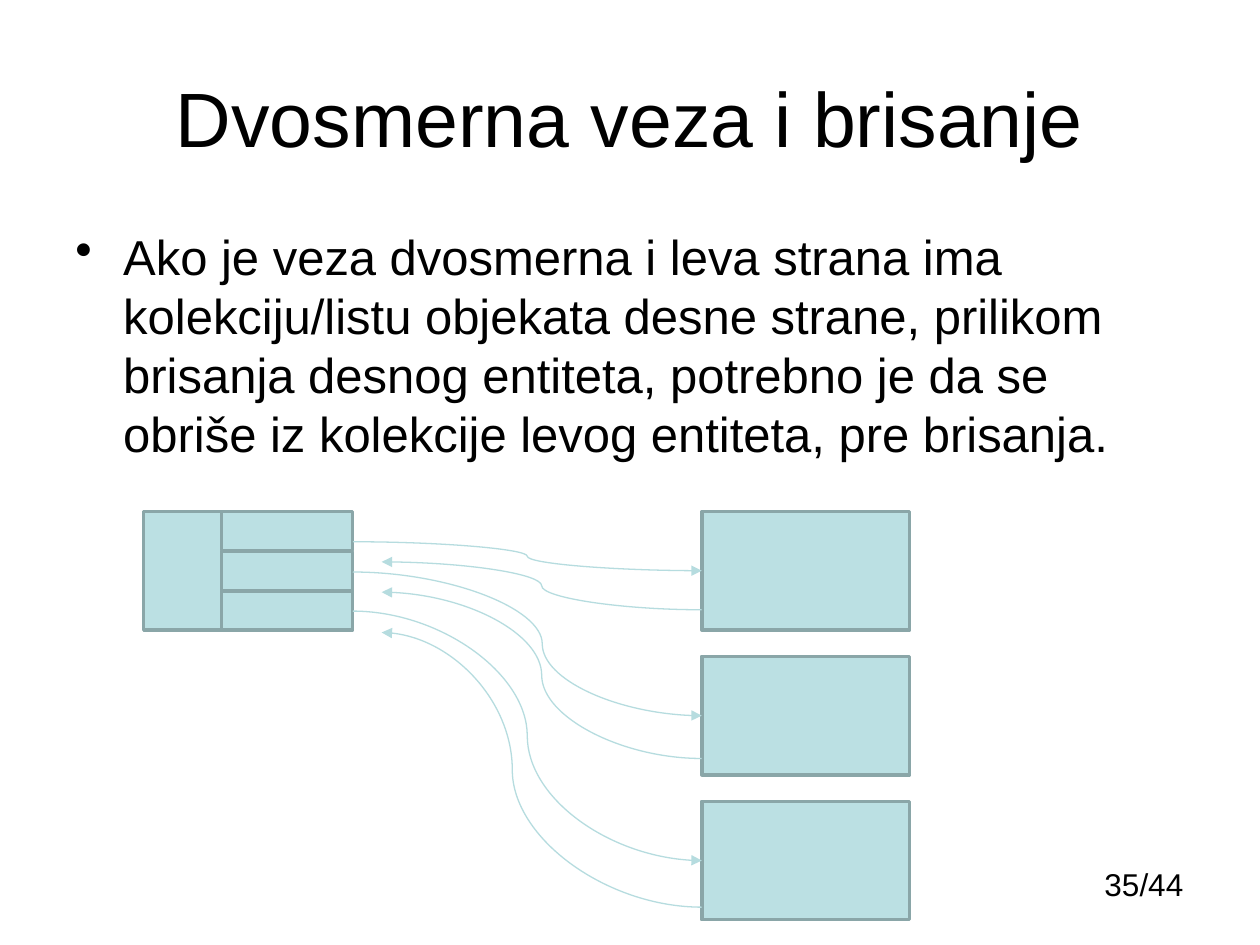
from typing import NamedTuple

from pptx import Presentation
from pptx import util as u
from pptx.dml.color import RGBColor
from pptx.enum import shapes, text
from pptx.oxml.ns import qn
from lxml import etree

BLACK = RGBColor(0x00, 0x00, 0x00)
ENTITY_FILL = RGBColor(0xBB, 0xE0, 0xE3)
ENTITY_LINE = RGBColor(0x8A, 0xA6, 0xA8)
LINK_COLOR = RGBColor(0xB6, 0xDC, 0xDF)

LEFT_X, RIGHT_X, TOP = 1.14, 5.57, 4.06
ENTITY_W, ENTITY_H, ENTITY_STEP = 1.65, 0.94, 1.15
LIST_X, LIST_W, ITEM_H, ITEM_STEP = 1.76, 1.04, 0.31, 0.315
LIST_EDGE, BACK_X = 2.8, 3.03


class Label(NamedTuple):
    words: str
    left: float
    top: float
    width: float
    height: float
    size: int
    align: text.PP_ALIGN
    anchor: text.MSO_ANCHOR = text.MSO_ANCHOR.TOP


class Link(NamedTuple):
    """Forward and back curves of one list item; bend is where a curve turns."""
    start_y: float
    forward_bend: float
    back_start_y: float
    back_end_y: float
    back_bend: float


TITLE = Label("Dvosmerna veza i brisanje", 0.5, 0.3, 9, 1.25, 44,
              text.PP_ALIGN.CENTER, text.MSO_ANCHOR.MIDDLE)
BODY = Label("Ako je veza dvosmerna i leva strana ima kolekciju/listu objekata "
             "desne strane, prilikom brisanja desnog entiteta, potrebno je da se "
             "obriše iz kolekcije levog entiteta, pre brisanja.",
             0.5, 1.75, 9, 4.95, 28, text.PP_ALIGN.LEFT)
PAGE_NUMBER = Label("35/44", 7.13, 6.82, 2.36, 0.4, 18, text.PP_ALIGN.RIGHT)

LINKS = [
    Link(4.3, 0.5, 4.84, 4.46, 0.5),
    Link(4.54, 0.543, 6.02, 4.7, 0.5),
    Link(4.85, 0.5, 7.2, 5.02, 0.592),
]


def set_all(target: object, values: dict) -> None:
    for name, value in values.items():
        setattr(target, name, value)


def add_label(page, label: Label):
    box = page.shapes.add_textbox(u.Inches(label.left), u.Inches(label.top),
                                  u.Inches(label.width), u.Inches(label.height))
    set_all(box.text_frame, {"word_wrap": True, "vertical_anchor": label.anchor})
    para = box.text_frame.paragraphs[0]
    para.alignment = label.align
    span = para.add_run()
    span.text = label.words
    set_all(span.font, {"name": "Arial", "size": u.Pt(label.size)})
    span.font.color.rgb = BLACK
    return para


def add_bullet(para) -> None:
    para.space_before = u.Pt(5.6)
    props = para._p.get_or_add_pPr()
    props.set("marL", str(u.Inches(0.38)))
    props.set("indent", str(u.Inches(-0.38)))
    etree.SubElement(props, qn("a:buChar")).set("char", "•")


def add_box(page, left: float, top: float, width: float, height: float) -> None:
    box = page.shapes.add_shape(shapes.MSO_SHAPE.RECTANGLE, u.Inches(left),
                                u.Inches(top), u.Inches(width), u.Inches(height))
    box.shadow.inherit = False
    box.fill.solid()
    box.fill.fore_color.rgb = ENTITY_FILL
    box.line.color.rgb = ENTITY_LINE
    box.line.width = u.Pt(2)


def add_curve(page, x1: float, y1: float, x2: float, y2: float, bend: float) -> None:
    curve = page.shapes.add_connector(shapes.MSO_CONNECTOR.CURVE, u.Inches(x1),
                                      u.Inches(y1), u.Inches(x2), u.Inches(y2))
    curve.line.color.rgb = LINK_COLOR
    curve.line.width = u.Pt(0.75)
    etree.SubElement(curve.line._get_or_add_ln(), qn("a:tailEnd")).set("type", "triangle")
    props = curve._element.spPr
    etree.SubElement(props, qn("a:effectLst"))
    guide = etree.SubElement(props.find(qn("a:prstGeom")).find(qn("a:avLst")), qn("a:gd"))
    guide.set("name", "adj1")
    guide.set("fmla", f"val {round(bend * 100000)}")


def main() -> None:
    deck = Presentation()
    set_all(deck, {"slide_width": u.Inches(10), "slide_height": u.Inches(7.5)})
    page = deck.slides.add_slide(deck.slide_layouts[6])

    add_label(page, PAGE_NUMBER)
    add_label(page, TITLE)
    add_bullet(add_label(page, BODY))

    add_box(page, LEFT_X, TOP, ENTITY_W, ENTITY_H)
    for row, link in enumerate(LINKS):
        entity_top = TOP + row * ENTITY_STEP
        add_box(page, LIST_X, TOP + row * ITEM_STEP, LIST_W, ITEM_H)
        add_box(page, RIGHT_X, entity_top, ENTITY_W, ENTITY_H)
        add_curve(page, LIST_EDGE, link.start_y, RIGHT_X,
                  entity_top + ENTITY_H / 2, link.forward_bend)
        add_curve(page, RIGHT_X, link.back_start_y, BACK_X,
                  link.back_end_y, link.back_bend)

    deck.save("out.pptx")


if __name__ == "__main__":
    main()
